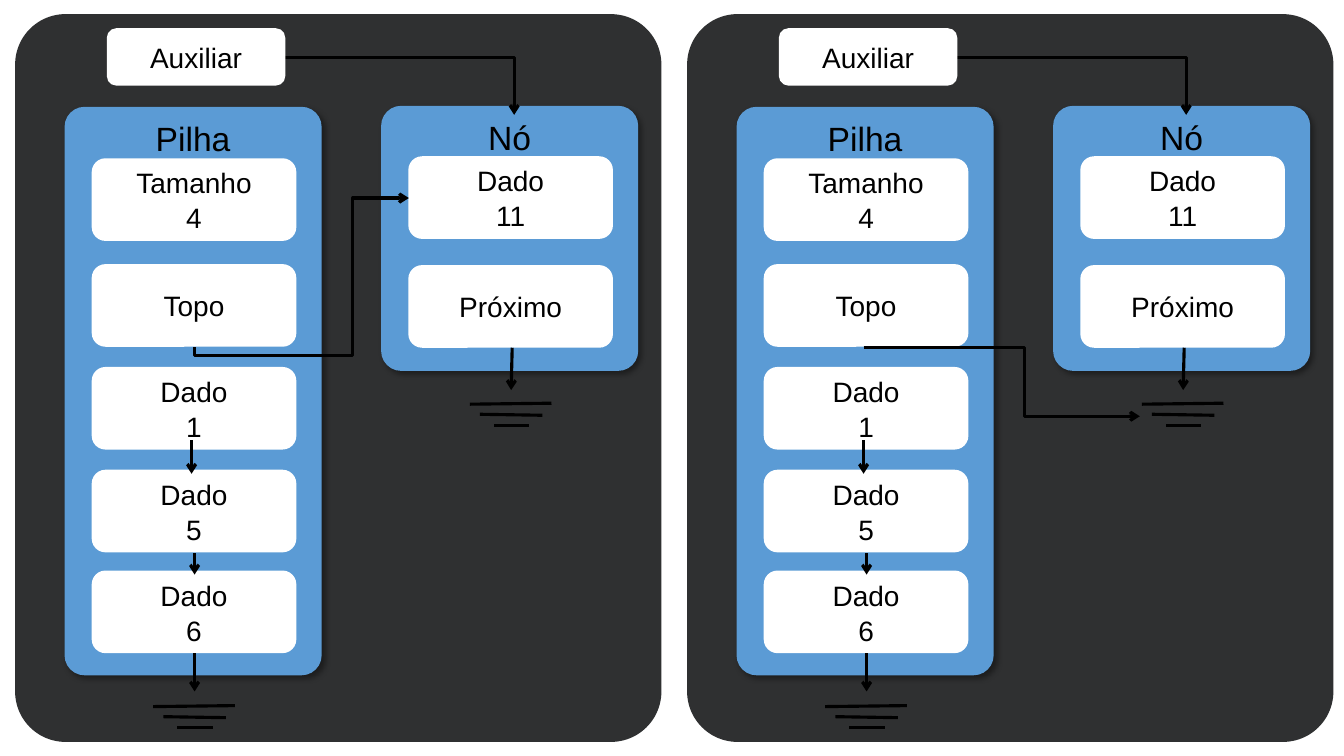
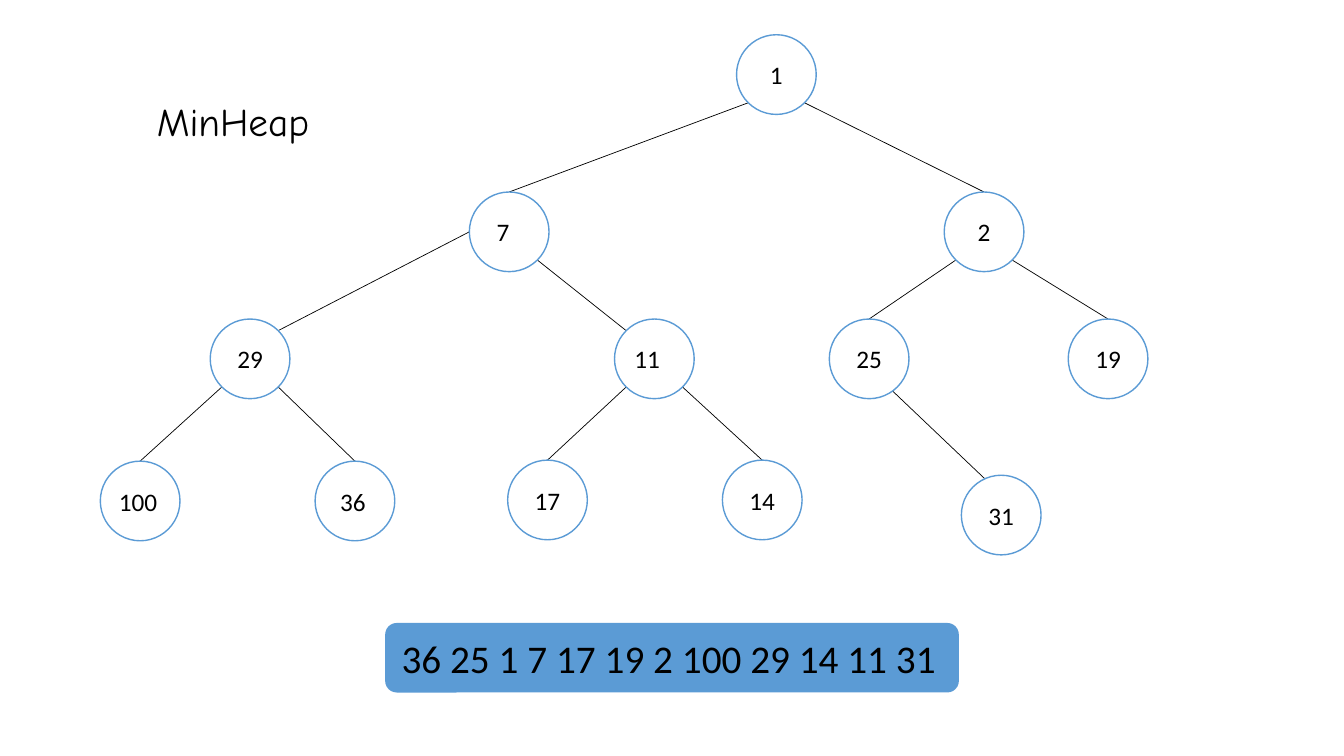
from lxml import etree
from pptx import Presentation, util as u
from pptx.dml.color import RGBColor
from pptx.enum import shapes, text
from pptx.oxml.ns import qn

WIDTH, HEIGHT = 13.33, 7.5
BLACK, WHITE, BLUE, DARK = "000000", "FFFFFF", "5B9BD5", "2F3031"
ROUND, OVAL = shapes.MSO_SHAPE.ROUNDED_RECTANGLE, shapes.MSO_SHAPE.OVAL
LEFT, CENTER = text.PP_ALIGN.LEFT, text.PP_ALIGN.CENTER
TOP, MIDDLE = text.MSO_ANCHOR.TOP, text.MSO_ANCHOR.MIDDLE

# Stack scenes: lengths in inches from the left edge of each half slide
BACKDROP = (0.15, 0.14, 6.41, 7.22)
CORNER = 0.078
CARD = (2.03, 0.82)
PANELS = [
    {"name": "Nó", "at": (3.78, 1.05, 2.55, 2.63), "card_left": 4.05,
     "cards": [(1.55, ["Dado", "11"]), (2.63, ["Próximo"])]},
    {"name": "Pilha", "at": (0.64, 1.06, 2.55, 5.64), "card_left": 0.91,
     "cards": [(1.57, ["Tamanho", "4"]), (2.62, ["Topo"]), (3.64, ["Dado", "1"]),
               (4.66, ["Dado", "5"]), (5.66, ["Dado", "6"])]},
]
AUXILIARY = ("Auxiliar", (1.06, 0.28, 1.77, 0.57))
DOWN_ARROWS = [(1.9, 4.37, 1.9, 4.7), (1.93, 5.49, 1.93, 5.7),
               (1.93, 6.48, 1.93, 6.86), (5.08, 3.45, 5.07, 3.87)]
GROUNDS = [(1.52, 7.0), (4.66, 4.0)]
GROUND_BARS = [(0, 0.01, 0.81, 0), (0.1, 0.11, 0.72, 0.12), (0.24, 0.22, 0.59, 0.22)]
AUXILIARY_LINK = {"ends": (2.83, 0.57, 5.1, 1.14), "bends": [1]}
TOP_LINKS = [
    {"ends": (2.25, 1.64, 3.73, 3.77), "bends": [-0.058, 0.739],
     "turn": {"rot": "5400000", "flipH": "1", "flipV": "1"}},
    {"ends": (1.9, 3.45, 4.64, 4.13), "bends": [0.582]},
]

# Heap: value -> centre x, centre y, shift of the label to the left
DIAMETER = 0.79
NODES = {
    1: (7.7, 0.74, 0), 7: (5.05, 2.3, 0.06), 2: (9.76, 2.3, 0),
    29: (2.48, 3.56, 0), 11: (6.49, 3.56, 0.07), 25: (8.62, 3.56, 0),
    19: (10.99, 3.56, 0), 100: (1.39, 4.97, 0.02), 36: (3.52, 4.97, 0.02),
    17: (5.43, 4.96, 0), 14: (7.56, 4.96, 0), 31: (9.93, 5.11, 0),
}
# Where an edge meets a circle, in radii from its centre
NORTH, WEST = (0, -1), (-1, 0)
NE, NW, SE, SW = (0.71, -0.71), (-0.71, -0.71), (0.71, 0.71), (-0.71, 0.71)
EDGES = [
    (1, SW, 7, NORTH), (1, SE, 2, NORTH), (7, WEST, 29, NE), (7, SE, 11, NW),
    (2, SW, 25, NORTH), (2, SE, 19, NORTH), (29, SW, 100, NORTH), (29, SE, 36, NORTH),
    (11, SW, 17, NORTH), (11, SE, 14, NORTH), (25, (0.34, 0.57), 31, (0, -0.52)),
]
HEAP_TITLE = ("MinHeap", (1.08, 0.91, 2.46, 0.57))
SEQUENCE = ("36 25 1 7 17 19 2 100 29 14 11 31", (3.82, 6.18, 5.69, 0.69))


def rgb(code):
    return RGBColor.from_string(code)


def inches(values):
    return [u.Inches(value) for value in values]


def moved(box, dx):
    return (box[0] + dx, *box[1:])


def write(shape, lines, size, font, align=CENTER, anchor=MIDDLE,
          spacing=None, margins=(0.05, 0.05, 0.05, 0.05)):
    """Fill a shape with lines; margins run left, top, right, bottom."""
    frame = shape.text_frame
    frame.text = "\n".join(lines)
    left, top, right, bottom = inches(margins)
    layout = {"word_wrap": True, "auto_size": text.MSO_AUTO_SIZE.NONE,
              "vertical_anchor": anchor, "margin_left": left, "margin_top": top,
              "margin_right": right, "margin_bottom": bottom}
    for key, value in layout.items():
        setattr(frame, key, value)
    for paragraph in frame.paragraphs:
        paragraph.alignment = align
        paragraph.line_spacing = spacing
        paragraph.font.size = u.Pt(size)
        paragraph.font.name = font
        paragraph.font.color.rgb = rgb(BLACK)


def add_block(slide, kind, box, fill, outline=None, corner=None):
    block = slide.shapes.add_shape(kind, *inches(box))
    block.shadow.inherit = False
    block.fill.solid()
    block.fill.fore_color.rgb = rgb(fill)
    if outline:
        block.line.color.rgb = rgb(outline)
        block.line.width = u.Pt(1)
    else:
        block.line.fill.background()
    if corner:
        block.adjustments[0] = corner
    return block


def cast_shadow(shape):
    effects = shape._element.spPr.find(qn("a:effectLst"))
    shadow = etree.SubElement(
        effects, qn("a:outerShdw"), blurRad=str(u.Pt(4)), dist=str(u.Pt(3)),
        dir="2700000", algn="tl", rotWithShape="0")
    color = etree.SubElement(shadow, qn("a:srgbClr"), val=BLACK)
    etree.SubElement(color, qn("a:alpha"), val="40000")


def add_line(slide, ends, weight=2.25, arrow=False, kind=shapes.MSO_CONNECTOR.STRAIGHT):
    line = slide.shapes.add_connector(kind, *inches(ends))
    line.line.color.rgb = rgb(BLACK)
    line.line.width = u.Pt(weight)
    properties = line._element.spPr
    if arrow:
        etree.SubElement(properties.find(qn("a:ln")), qn("a:tailEnd"), type="arrow")
    etree.SubElement(properties, qn("a:effectLst"))
    return line


def add_elbow(slide, link, dx):
    """Draw a bent arrow; bends are shares of its box, turn sets its rotation and flips."""
    x1, y1, x2, y2 = link["ends"]
    elbow = add_line(slide, (x1 + dx, y1, x2 + dx, y2), arrow=True,
                     kind=shapes.MSO_CONNECTOR.ELBOW)
    properties = elbow._element.spPr
    for key, value in link.get("turn", {}).items():
        properties.find(qn("a:xfrm")).set(key, value)
    bends = link["bends"]
    geometry = properties.find(qn("a:prstGeom"))
    geometry.set("prst", f"bentConnector{len(bends) + 2}")
    guides = geometry.find(qn("a:avLst"))
    if guides is None:
        guides = etree.SubElement(geometry, qn("a:avLst"))
    for number, bend in enumerate(bends, 1):
        etree.SubElement(guides, qn("a:gd"), name=f"adj{number}",
                         fmla=f"val {round(bend * 100000)}")


def draw_stack(slide, dx, top_link):
    add_block(slide, ROUND, moved(BACKDROP, dx), DARK, corner=CORNER)
    for panel in PANELS:
        body = add_block(slide, ROUND, moved(panel["at"], dx), BLUE, corner=CORNER)
        cast_shadow(body)
        write(body, [panel["name"]], 24, "Arial", anchor=TOP)
        for top, lines in panel["cards"]:
            card = add_block(slide, ROUND, (panel["card_left"] + dx, top, *CARD), WHITE)
            write(card, lines, 20, "Arial", spacing=u.Pt(25) if len(lines) > 1 else None)
    for x, y in GROUNDS:
        for x1, y1, x2, y2 in GROUND_BARS:
            add_line(slide, (x + x1 + dx, y + y1, x + x2 + dx, y + y2))
    for x1, y1, x2, y2 in DOWN_ARROWS:
        add_line(slide, (x1 + dx, y1, x2 + dx, y2), arrow=True)
    for link in (top_link, AUXILIARY_LINK):
        add_elbow(slide, link, dx)
    label, box = AUXILIARY
    write(add_block(slide, ROUND, moved(box, dx), WHITE), [label], 20, "Arial")


def draw_heap(slide):
    label, box = HEAP_TITLE
    title = slide.shapes.title
    title.left, title.top, title.width, title.height = inches(box)
    write(title, [label], 28, "Comic Neue")

    radius = DIAMETER / 2

    def site(value, direction):
        return [c + radius * d for c, d in zip(NODES[value], direction)]

    for parent, leave, child, enter in EDGES:
        add_line(slide, (*site(parent, leave), *site(child, enter)), weight=0.5)
    for value, (x, y, shift) in NODES.items():
        node = add_block(slide, OVAL, (x - radius, y - radius, DIAMETER, DIAMETER),
                         WHITE, outline=BLUE)
        write(node, [str(value)], 18, "Calibri", margins=(0, 0, 2 * shift, 0))
    numbers, box = SEQUENCE
    write(add_block(slide, ROUND, box, BLUE), [numbers], 28, "Calibri",
          align=LEFT, margins=(0.13, 0, 0, 0))


def main():
    deck = Presentation()
    deck.slide_width, deck.slide_height = inches((WIDTH, HEIGHT))
    title_only, blank = deck.slide_layouts[5], deck.slide_layouts[6]
    stacks = deck.slides.add_slide(blank)
    for half, top_link in enumerate(TOP_LINKS):
        draw_stack(stacks, half * WIDTH / 2, top_link)
    draw_heap(deck.slides.add_slide(title_only))
    deck.save("out.pptx")


if __name__ == "__main__":
    main()
